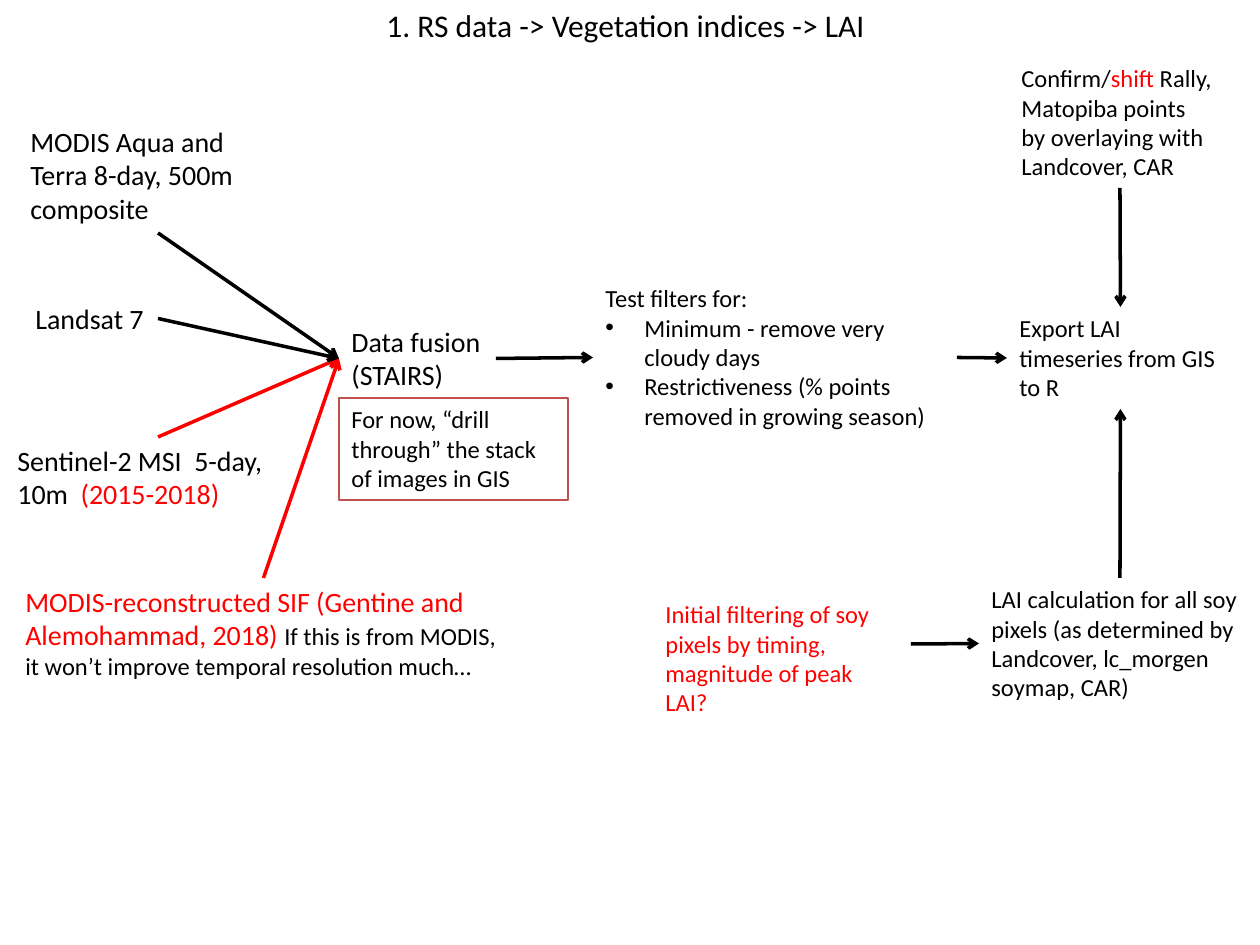
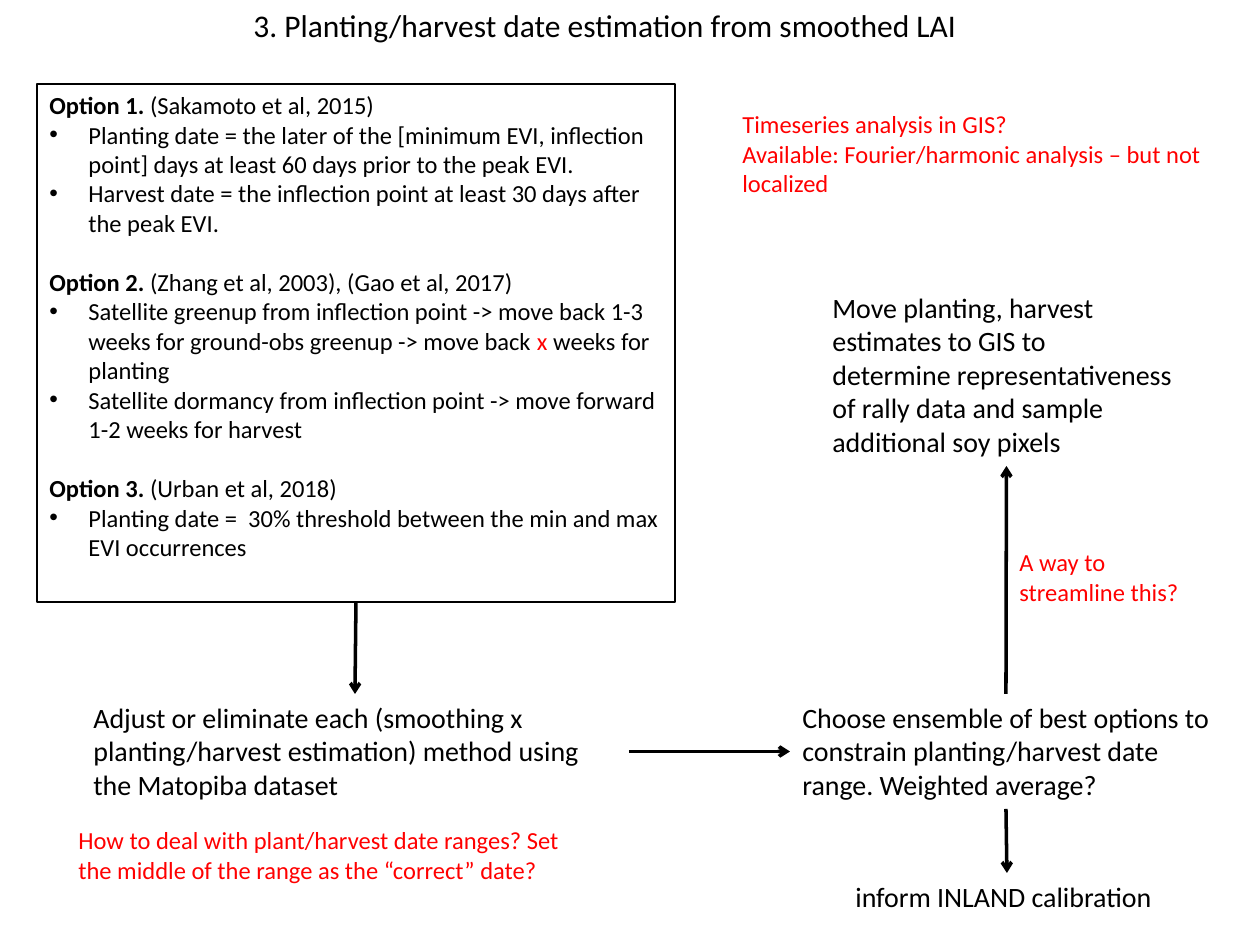
"""Builds two workflow slides: LAI from remote sensing, and planting/harvest date estimation."""
from dataclasses import dataclass

from lxml.etree import SubElement
from pptx import Presentation
from pptx.dml.color import RGBColor
from pptx.enum.shapes import MSO_CONNECTOR as CONNECTOR, MSO_SHAPE as SHAPE
from pptx.enum.text import MSO_ANCHOR as ANCHOR, MSO_AUTO_SIZE as AUTO_SIZE, PP_ALIGN as ALIGN
from pptx.oxml.ns import qn
from pptx.util import Pt

PX = 914400 / 126
TOP, LEFT, BOTTOM, RIGHT = range(4)


@dataclass(frozen=True)
class Theme:
    font: str = "Calibri"
    black: RGBColor = RGBColor(0, 0, 0)
    red: RGBColor = RGBColor(255, 0, 0)
    brick: RGBColor = RGBColor(192, 80, 77)
    title: int = 18
    step: int = 16
    note: int = 14
    border: float = 0.75
    arrow: int = 2
    indent: int = 39
    section_gap: int = 17


theme = Theme()
RED = {"color": theme.red}
BOLD = {"bold": True}


def add_text(slide, box, *paragraphs, size=theme.note, color=theme.black, wrap=True, border=None):
    """Add a text box, or a bordered rectangle; paragraphs starting with a bullet get a hanging one."""
    bounds = [round(value * PX) for value in box]
    if border is None:
        shape = slide.shapes.add_textbox(*bounds)
    else:
        shape = slide.shapes.add_shape(SHAPE.RECTANGLE, *bounds)
        shape.shadow.inherit = False
        shape.fill.background()
        shape.line.color.rgb = border
        shape.line.width = Pt(theme.border)
    frame = shape.text_frame
    frame.word_wrap = wrap
    frame.vertical_anchor = ANCHOR.TOP
    frame.auto_size = AUTO_SIZE.SHAPE_TO_FIT_TEXT if border is None else AUTO_SIZE.NONE
    for index, content in enumerate(paragraphs):
        paragraph = frame.add_paragraph() if index else frame.paragraphs[0]
        paragraph.alignment = ALIGN.LEFT
        runs = [content] if isinstance(content, str) else content
        runs = [(item, {}) if isinstance(item, str) else item for item in runs]
        bulleted = runs[0][0].startswith("•")
        if bulleted:
            properties = paragraph._p.get_or_add_pPr()
            indent = round(theme.indent * PX)
            properties.set("marL", str(indent))
            properties.set("indent", str(-indent))
            SubElement(properties, qn("a:buFont"), typeface="Arial")
            SubElement(properties, qn("a:buChar"), char="•")
        elif index and runs[0][1].get("bold"):
            paragraph.space_before = Pt(theme.section_gap)
        for text, style in runs:
            run = paragraph.add_run()
            run.text = text.removeprefix("•")
            run.font.name = theme.font
            run.font.size = Pt(style.get("size", size))
            run.font.bold = style.get("bold", False)
            run.font.color.rgb = style.get("color", color)
    return shape


def add_arrow(slide, start, start_side, end, end_side, color=theme.black):
    """Join the middles of two shape sides with an arrow."""
    connector = slide.shapes.add_connector(CONNECTOR.STRAIGHT, 0, 0, 0, 0)
    connector.begin_connect(start, start_side)
    connector.end_connect(end, end_side)
    connector.line.color.rgb = color
    connector.line.width = Pt(theme.arrow)
    SubElement(connector.line._get_or_add_ln(), qn("a:tailEnd"), type="arrow")
    SubElement(connector._element.spPr, qn("a:effectLst"))


presentation = Presentation()
presentation.slide_width = round(1260 * PX)
presentation.slide_height = round(945 * PX)
blank = presentation.slide_layouts[6]

slide = presentation.slides.add_slide(blank)
add_text(slide, (374, 0, 512, 50), "1. RS data -> Vegetation indices -> LAI", size=theme.title, wrap=False)
modis = add_text(slide, (18, 118, 280, 115), "MODIS Aqua and Terra 8-day, 500m composite", size=theme.step)
fusion = add_text(slide, (339, 318, 157, 81), "Data fusion (STAIRS)", size=theme.step)
landsat = add_text(slide, (23, 295, 135, 47), "Landsat 7", size=theme.step, wrap=False)
sentinel = add_text(slide, (5, 437, 306, 81),
                    ["Sentinel-2 MSI  5-day, 10m  ", ("(2015-2018)", RED)], size=theme.step)
add_text(slide, (339, 398, 229, 102), "For now, “drill through” the stack of images in GIS", border=theme.brick)
export = add_text(slide, (1007, 307, 227, 102), "Export LAI timeseries from GIS to R")
sif = add_text(slide, (13, 578, 501, 111),
               [("MODIS-reconstructed SIF (Gentine and Alemohammad, 2018) ", {"size": theme.step, **RED}),
                "If this is from MODIS, it won’t improve temporal resolution much…"])
confirm = add_text(slide, (1009, 57, 222, 131),
                   ["Confirm/", ("shift", RED), " Rally, Matopiba points"],
                   "by overlaying with Landcover, CAR")
filters = add_text(slide, (593, 277, 364, 161),
                   "Test filters for:",
                   "•Minimum - remove very cloudy days",
                   "•Restrictiveness (% points removed in growing season)")
calculation = add_text(slide, (979, 578, 282, 131),
                       "LAI calculation for all soy pixels (as determined by Landcover, lc_morgen soymap, CAR)")
filtering = add_text(slide, (653, 593, 258, 102),
                     "Initial filtering of soy pixels by timing, magnitude of peak LAI?", color=theme.red)

for source, side, color in [(sentinel, TOP, theme.red), (modis, BOTTOM, theme.black),
                            (landsat, RIGHT, theme.black), (sif, TOP, theme.red)]:
    add_arrow(slide, source, side, fusion, LEFT, color)
for source, target in [(fusion, filters), (filters, export), (filtering, calculation)]:
    add_arrow(slide, source, RIGHT, target, LEFT)
add_arrow(slide, confirm, BOTTOM, export, TOP)
add_arrow(slide, calculation, TOP, export, BOTTOM)

slide = presentation.slides.add_slide(blank)
add_text(slide, (241, 0, 737, 50), "3. Planting/harvest date estimation from smoothed LAI",
         size=theme.title, wrap=False)
options = add_text(
    slide, (37, 84, 638, 518),
    [("Option 1. ", BOLD), "(Sakamoto et al, 2015)"],
    "•Planting date = the later of the [minimum EVI, inflection point] days at least 60 days prior to the peak EVI.",
    "•Harvest date = the inflection point at least 30 days after the peak EVI.",
    [("Option 2. ", BOLD), "(Zhang et al, 2003), (Gao et al, 2017)"],
    ["•Satellite greenup from inflection point -> move back 1-3 weeks for ground-obs greenup -> move back ",
     ("x", RED), " weeks for planting"],
    "•Satellite dormancy from inflection point -> move forward 1-2 weeks for harvest",
    [("Option 3. ", BOLD), "(Urban et al, 2018)"],
    "•Planting date =  30% threshold between the min and max EVI occurrences",
    border=theme.black)
ensemble = add_text(slide, (790, 694, 432, 115),
                    "Choose ensemble of best options to constrain planting/harvest date range. Weighted average?",
                    size=theme.step)
estimates = add_text(slide, (820, 284, 373, 182),
                     "Move planting, harvest estimates to GIS to",
                     "determine representativeness of rally data and sample additional soy pixels",
                     size=theme.step)
adjust = add_text(slide, (81, 694, 548, 115),
                  "Adjust or eliminate each (smoothing x planting/harvest estimation) method using the Matopiba dataset",
                  size=theme.step)
add_text(slide, (1007, 541, 202, 72), "A way to streamline this?", color=theme.red)
inform = add_text(slide, (843, 873, 328, 47), "inform INLAND calibration", size=theme.step, wrap=False)
add_text(slide, (730, 103, 493, 102), "Timeseries analysis in GIS?",
         "Available: Fourier/harmonic analysis – but not localized", color=theme.red)
add_text(slide, (66, 819, 529, 72),
         "How to deal with plant/harvest date ranges? Set the middle of the range as the “correct” date?",
         color=theme.red)

add_arrow(slide, options, BOTTOM, adjust, TOP)
add_arrow(slide, adjust, RIGHT, ensemble, LEFT)
add_arrow(slide, ensemble, BOTTOM, inform, TOP)
add_arrow(slide, ensemble, TOP, estimates, BOTTOM)

presentation.save("out.pptx")
